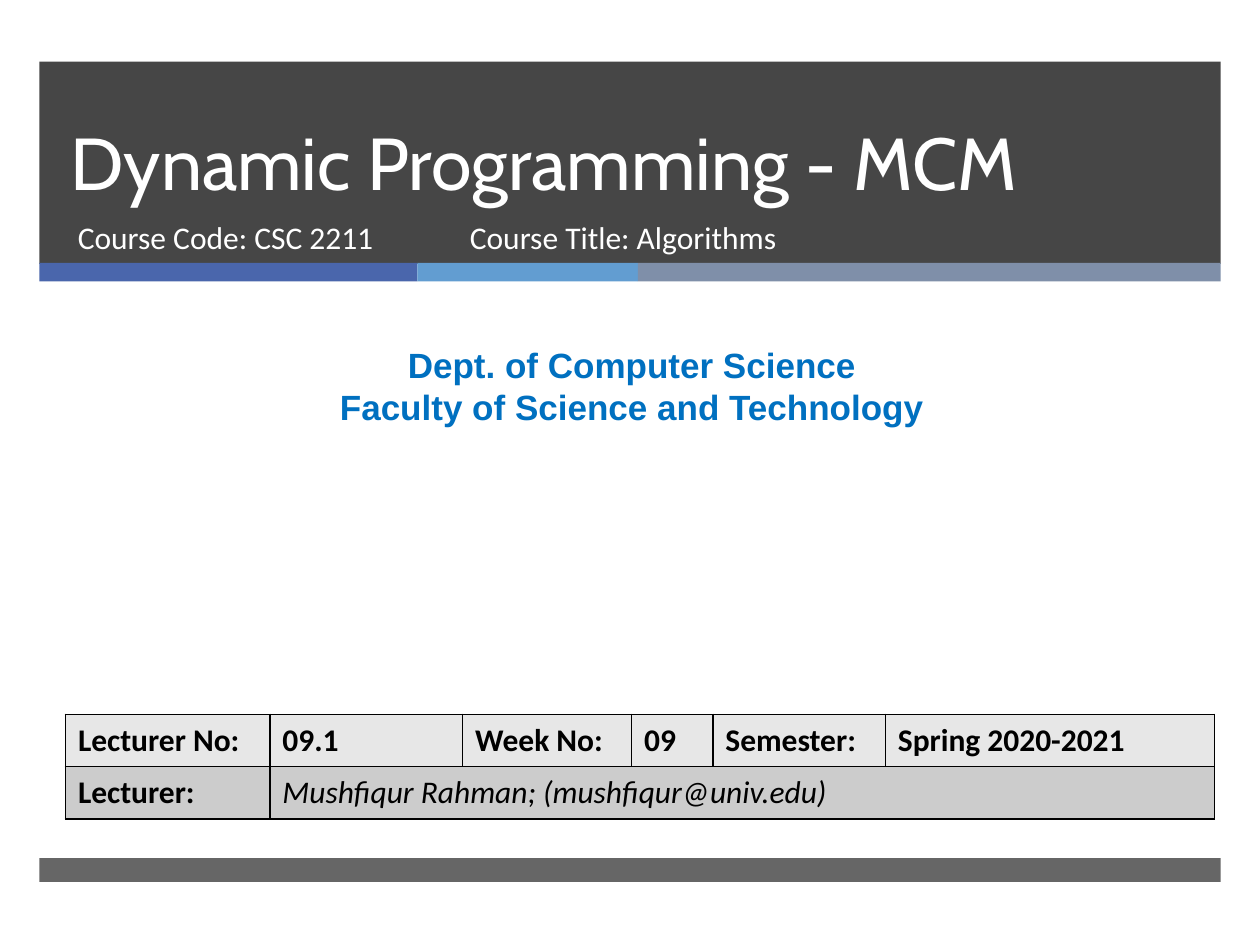
from dataclasses import dataclass
from itertools import accumulate

from lxml import etree
from pptx import Presentation
from pptx.dml.color import RGBColor
from pptx.enum.shapes import MSO_SHAPE
from pptx.enum.text import MSO_ANCHOR, PP_ALIGN
from pptx.oxml.ns import qn
from pptx.util import Pt

RECTANGLE = MSO_SHAPE.RECTANGLE
TOP, MIDDLE, BOTTOM = MSO_ANCHOR.TOP, MSO_ANCHOR.MIDDLE, MSO_ANCHOR.BOTTOM
LEFT, CENTER = PP_ALIGN.LEFT, PP_ALIGN.CENTER
BLANK_LAYOUT = 6


@dataclass(frozen=True)
class Theme:
    dark: str = "262626"
    white: str = "FFFFFF"
    black: str = "000000"
    department: str = "0070C0"
    accents: tuple = ("4A66AC", "629DD1", "7F8FA9")
    table_rows: tuple = ("E7E7E7", "CCCCCC")
    title_font: str = "Cabin"
    body_font: str = "Calibri"
    department_font: str = "Arial"
    title_size: int = 42
    body_size: int = 18
    department_size: int = 20


THEME = Theme()


def set_fill(fill, color):
    fill.solid()
    fill.fore_color.rgb = RGBColor.from_string(color)


def style_font(font, name, size, color, bold=False, italic=False):
    font.name = name
    font.size = Pt(size)
    font.bold = bold
    font.italic = italic
    font.color.rgb = RGBColor.from_string(color)


def add_bar(slide, left, top, width, height, color, opacity=100):
    shape = slide.shapes.add_shape(RECTANGLE, Pt(left), Pt(top), Pt(width), Pt(height))
    shape.shadow.inherit = False
    shape.line.fill.background()
    set_fill(shape.fill, color)
    if opacity < 100:
        color_element = next(shape.fill._xPr.iter(qn("a:srgbClr")))
        etree.SubElement(color_element, qn("a:alpha"), val=str(opacity * 1000))


def add_text(slide, left, top, width, height, lines, name, size, color,
             bold=False, alignment=LEFT, anchor=TOP, line_spacing=None):
    shape = slide.shapes.add_textbox(Pt(left), Pt(top), Pt(width), Pt(height))
    frame = shape.text_frame
    frame.word_wrap = True
    frame.vertical_anchor = anchor
    frame.text = "\n".join(lines)
    for paragraph in frame.paragraphs:
        paragraph.alignment = alignment
        if line_spacing:
            paragraph.line_spacing = Pt(line_spacing)
        style_font(paragraph.font, name, size, color, bold)


def add_cell_borders(cell, color):
    properties = cell._tc.get_or_add_tcPr()
    for index, side in enumerate(("lnL", "lnR", "lnT", "lnB")):
        line = etree.Element(qn(f"a:{side}"), w=str(Pt(1)))
        fill = etree.SubElement(line, qn("a:solidFill"))
        etree.SubElement(fill, qn("a:srgbClr"), val=color)
        properties.insert(index, line)


def add_details_table(slide, left, top, column_widths, row_height, rows):
    frame = slide.shapes.add_table(
        len(rows), len(column_widths), Pt(left), Pt(top),
        Pt(sum(column_widths)), Pt(row_height * len(rows)))
    table = frame.table
    for column, width in zip(table.columns, column_widths):
        column.width = Pt(width)
    for row_index, (values, color) in enumerate(zip(rows, THEME.table_rows)):
        table.rows[row_index].height = Pt(row_height)
        for column_index in range(len(column_widths)):
            cell = table.cell(row_index, column_index)
            set_fill(cell.fill, color)
            add_cell_borders(cell, THEME.black)
            cell.vertical_anchor = MIDDLE
            if column_index < len(values):
                cell.text = values[column_index]
            is_lecturer_name = row_index == 1 and column_index == 1
            style_font(cell.text_frame.paragraphs[0].font, THEME.body_font,
                       THEME.body_size, THEME.black,
                       bold=not is_lecturer_name, italic=is_lecturer_name)
    table.cell(1, 1).merge(table.cell(1, len(column_widths) - 1))


def add_banner(slide):
    left, width = 22.5, 675
    add_bar(slide, left, 35.2, width, 115.6, THEME.dark, 85)
    accent_widths = (216, 126, 333)
    accent_lefts = accumulate(accent_widths[:-1], initial=left)
    for accent_left, accent_width, color in zip(accent_lefts, accent_widths, THEME.accents):
        add_bar(slide, accent_left, 150.3, accent_width, 10.6, color)
    add_bar(slide, left, 490.3, width, 13.7, THEME.dark, 70)


def main():
    presentation = Presentation()
    presentation.slide_width = Pt(720)
    presentation.slide_height = Pt(540)
    slide = presentation.slides.add_slide(presentation.slide_layouts[BLANK_LAYOUT])

    add_banner(slide)
    add_text(slide, 33.2, 35.3, 615, 85.7, ["Dynamic Programming - MCM"],
             THEME.title_font, THEME.title_size, THEME.white,
             anchor=BOTTOM, line_spacing=46)
    for left, width, label in ((37.4, 219.6, "Course Code: CSC 2211"),
                               (261.4, 327.6, "Course Title: Algorithms")):
        add_text(slide, left, 121, width, 38, [label],
                 THEME.body_font, THEME.body_size, THEME.white)
    add_text(slide, 5.8, 193, 710.6, 55.4,
             ["Dept. of Computer Science", "Faculty of Science and Technology"],
             THEME.department_font, THEME.department_size, THEME.department,
             bold=True, alignment=CENTER, line_spacing=24)
    add_details_table(
        slide, 37.4, 408.2, (116.8, 110.2, 96.6, 46.4, 98.6, 188), 29.9,
        [["Lecturer No:", "09.1", "Week No:", "09", "Semester:", "Spring 2020-2021"],
         ["Lecturer:", "Mushfiqur Rahman; (mushfiqur@univ.edu)"]])

    presentation.save("out.pptx")


if __name__ == "__main__":
    main()
